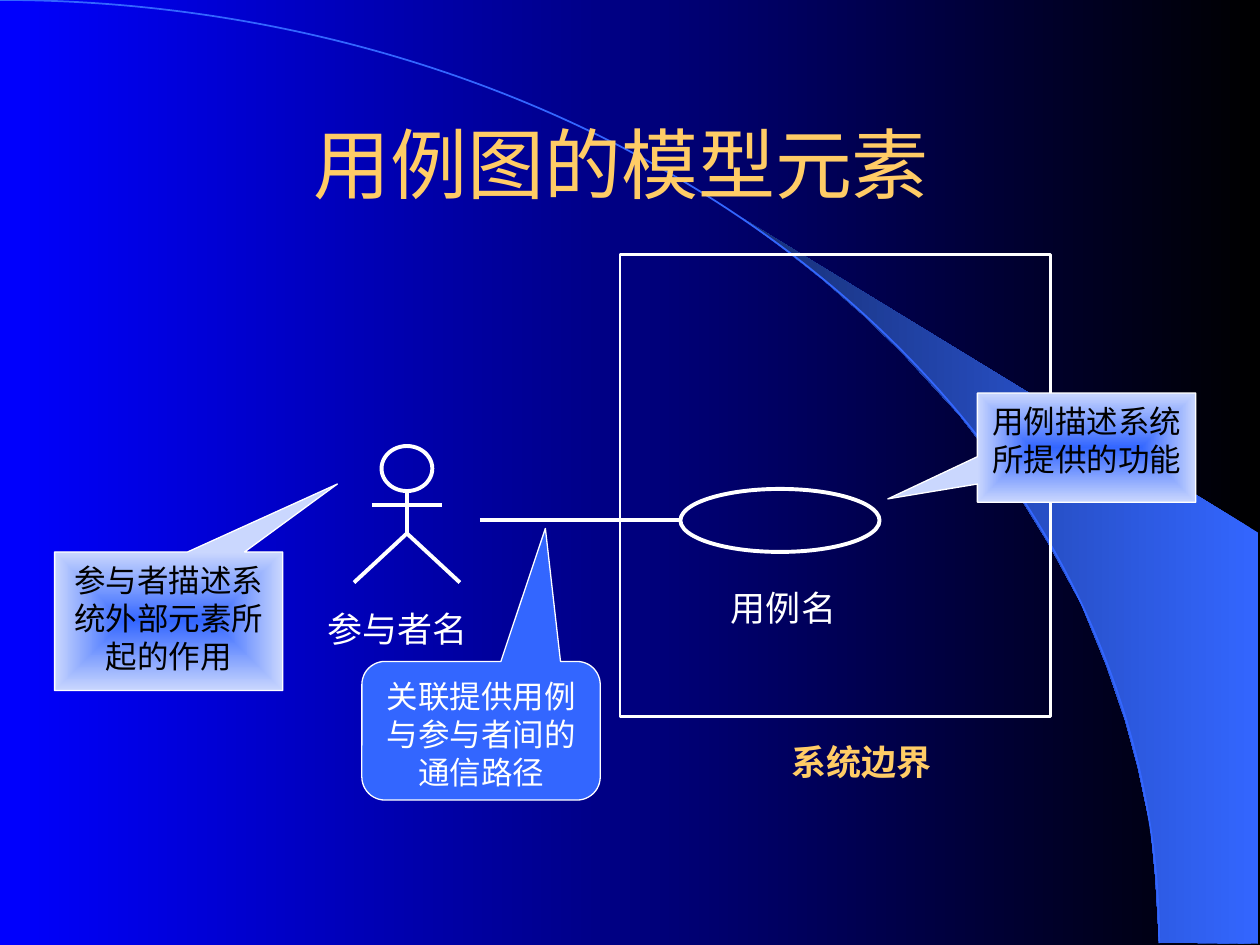
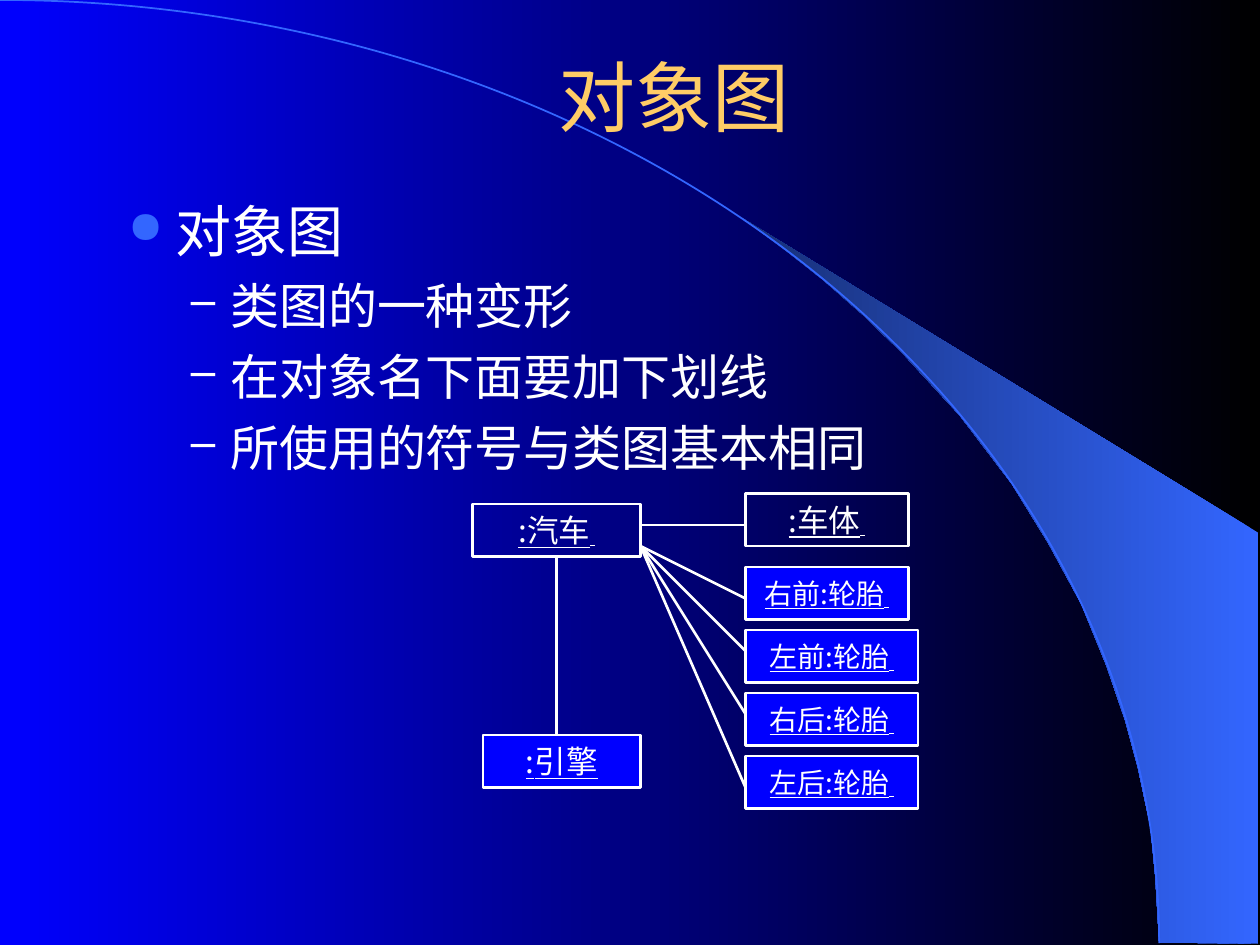
from lxml import etree
from pptx import Presentation
from pptx.dml.color import RGBColor
from pptx.enum.shapes import MSO_CONNECTOR, MSO_SHAPE as SHAPE
from pptx.enum.text import MSO_ANCHOR as ANCHOR, PP_ALIGN as ALIGN
from pptx.oxml.ns import qn
from pptx.util import Pt

BLACK, WHITE, GOLD = "000000", "FFFFFF", "FFCC66"
BLUE, DEEP_BLUE, NAVY, PALE = "3366FF", "0000FF", "172F75", "CAD7FE"
CJK = "Noto Sans CJK SC"
INSET = 3.6
SWOOSH_CURVE = [
    (424.1, 124.6), (449.3, 143.3), (470.2, 159.8), (493.2, 180),
    (515.5, 201.6), (548.6, 237.6), (578.2, 276.5), (599, 310.3),
    (617.8, 344.9), (632.2, 380.2), (643, 411.8), (650.2, 438.5),
    (657.4, 472.3), (660.2, 501.1), (662.4, 538.6),
]
SWOOSH_EDGE = [(719.3, 539.3), (719.3, 304.6)]


def rgb(value):
    return RGBColor.from_string(value)


def points(*values):
    return [Pt(value) for value in values]


def fill_gradient(fill, first, last):
    """Run from first on the right to last on the left."""
    fill.gradient()
    fill.gradient_angle = 180
    for stop, color, position in zip(fill.gradient_stops, (first, last), (0, 1)):
        stop.color.rgb = rgb(color)
        stop.position = position


def center_gradient(shape):
    """Turn a linear gradient into one that spreads from the middle."""
    gradient = shape._element.spPr.find(qn("a:gradFill"))
    gradient.remove(gradient.find(qn("a:lin")))
    spread = etree.SubElement(gradient, qn("a:path"))
    spread.set("path", "rect")
    middle = etree.SubElement(spread, qn("a:fillToRect"))
    for side in "ltrb":
        middle.set(side, "50000")


def style_run(run, size, color, font=CJK, bold=False, underline=False):
    run.font.size = Pt(size)
    run.font.name = font
    run.font.bold = bold
    run.font.underline = underline
    run.font.color.rgb = rgb(color)
    east_asian = etree.Element(qn("a:ea"))
    east_asian.set("typeface", CJK)
    run.font._element.find(qn("a:latin")).addnext(east_asian)


def write_text(shape, text, size, color, font=CJK, bold=False,
               align=ALIGN.CENTER, anchor=ANCHOR.TOP):
    frame = shape.text_frame
    frame.word_wrap = True
    frame.vertical_anchor = anchor
    frame.text = text
    for paragraph in frame.paragraphs:
        paragraph.alignment = align
        style_run(paragraph.runs[0], size, color, font, bold)
        if anchor == ANCHOR.TOP:
            paragraph.line_spacing = Pt(1.2 * size)
    if anchor == ANCHOR.TOP:
        frame.margin_top = Pt(INSET + 0.09 * size)
    return frame


def add_shape(slide, kind, box, fill=None, line=WHITE, width=1.5):
    shape = slide.shapes.add_shape(kind, *points(*box))
    shape.shadow.inherit = False
    if fill:
        shape.fill.solid()
        shape.fill.fore_color.rgb = rgb(fill)
    else:
        shape.fill.background()
    shape.line.color.rgb = rgb(line)
    shape.line.width = Pt(width)
    return shape


def add_line(slide, start, end, width=1.5):
    line = slide.shapes.add_connector(MSO_CONNECTOR.STRAIGHT, *points(*start, *end))
    line.line.color.rgb = rgb(WHITE)
    line.line.width = Pt(width)
    etree.SubElement(line._element.spPr, qn("a:effectLst"))


def add_label(slide, box, text, size=20, color=WHITE, **style):
    label = slide.shapes.add_textbox(*points(*box))
    return write_text(label, text, size, color, **style)


def add_backdrop(slide):
    start, *rest = SWOOSH_CURVE + SWOOSH_EDGE
    builder = slide.shapes.build_freeform(*points(*start), scale=1.0)
    builder.add_line_segments([points(*point) for point in rest], close=True)
    swoosh = builder.convert_to_shape()
    swoosh.shadow.inherit = False
    fill_gradient(swoosh.fill, BLUE, NAVY)
    swoosh.line.fill.background()
    add_shape(slide, SHAPE.ARC, (-662.4, 0, 1324.8, 1077.8), line=BLUE, width=1)


def add_base_slide(presentation, title, title_box):
    slide = presentation.slides.add_slide(presentation.slide_layouts[6])
    add_backdrop(slide)
    add_label(slide, title_box, title, 44, GOLD, anchor=ANCHOR.MIDDLE)
    return slide


def add_actor(slide, box):
    left, top, width, height = box

    def at(x, y):
        return left + x * width, top + y * height

    add_shape(slide, SHAPE.OVAL, (*at(0.26, 0), 0.48 * width, 0.33 * height), width=2.25)
    neck, hip = at(0.5, 0.34), at(0.5, 0.64)
    limbs = [(at(0.17, 0.43), at(0.83, 0.43)), (neck, hip),
             (hip, at(0, 1)), (hip, at(1, 1))]
    for start, end in limbs:
        add_line(slide, start, end, 2.25)


def add_callout(slide, kind, box, tip, text, fill, color):
    """Tip is the pointer's offset from the centre, in widths and heights."""
    callout = add_shape(slide, kind, box, fill, width=0.75)
    callout.adjustments[0], callout.adjustments[1] = tip
    write_text(callout, text, 18, color, font="Arial")
    return callout


def add_glowing_callout(slide, box, tip, text):
    callout = add_callout(slide, SHAPE.RECTANGULAR_CALLOUT, box, tip, text, None, BLACK)
    fill_gradient(callout.fill, BLUE, PALE)
    center_gradient(callout)


def add_use_case_diagram(slide):
    add_actor(slide, (202.3, 254.9, 60.5, 78))
    add_shape(slide, SHAPE.OVAL, (388.8, 279.4, 113.8, 36), width=2.25)
    add_line(slide, (274.3, 297.2), (388.8, 297.2), 2.25)
    add_label(slide, (180, 342, 108, 31.7), "参与者名", align=ALIGN.LEFT)
    add_label(slide, (372, 330, 156, 31.7), "用例名 ")
    add_shape(slide, SHAPE.RECTANGLE, (354.3, 145.3, 246.2, 264))
    add_label(slide, (422.6, 417.6, 144, 31.7), "系统边界 ", color=GOLD, bold=True)
    add_glowing_callout(slide, (31.2, 315.4, 130.3, 79.2), (0.74, -0.99),
                        "参与者描述系统外部元素所起的作用")
    add_glowing_callout(slide, (558.5, 224.6, 124.8, 62.4), (-0.91, 0.47),
                        "用例描述系统所提供的功能")
    add_callout(slide, SHAPE.ROUNDED_RECTANGULAR_CALLOUT, (206.8, 378, 136.2, 79.2),
                (0.27, -1.46), "关联提供用例与参与者间的通信路径", BLUE, WHITE)


def add_object_box(slide, box, name, size=18, fill=None, tail=True):
    """Tail adds a small underlined space after the name."""
    shape = add_shape(slide, SHAPE.RECTANGLE, box, fill)
    frame = shape.text_frame
    frame.word_wrap = False
    frame.vertical_anchor = ANCHOR.MIDDLE
    paragraph = frame.paragraphs[0]
    paragraph.alignment = ALIGN.CENTER
    for text, text_size in [(name, size), (" ", 12)][:1 + tail]:
        run = paragraph.add_run()
        run.text = text
        style_run(run, text_size, WHITE, underline=True)


def add_object_diagram(slide):
    box_height, right_column = 30, 426
    add_object_box(slide, (270, 288, 96, box_height), ":汽车")
    add_object_box(slide, (right_column, 282, 93, box_height), ":车体")
    add_object_box(slide, (276, 420, 90, box_height), ":引擎", fill=DEEP_BLUE, tail=False)
    add_line(slide, (366, 300), (right_column, 300))
    add_line(slide, (318, 318), (318, 420))
    wheels = [("右前", 93, 342), ("左前", 98.6, 372), ("右后", 98.6, 408), ("左后", 98.6, 450)]
    for index, (place, width, line_end) in enumerate(wheels):
        box = (right_column, 324 + 36 * index, width, box_height)
        add_object_box(slide, box, f"{place}:轮胎", 16, DEEP_BLUE)
        add_line(slide, (366, 312), (right_column, line_end))


def set_bullet(paragraph, indent, hanging, symbol, color, percent):
    properties = paragraph._p.get_or_add_pPr()
    properties.set("marL", str(Pt(indent)))
    properties.set("indent", str(-Pt(hanging)))
    bullet_color = etree.SubElement(properties, qn("a:buClr"))
    etree.SubElement(bullet_color, qn("a:srgbClr")).set("val", color)
    etree.SubElement(properties, qn("a:buSzPct")).set("val", str(percent * 1000))
    etree.SubElement(properties, qn("a:buChar")).set("char", symbol)


def add_bullets(slide, box, heading, items):
    frame = add_label(slide, box, "\n".join([heading, *items]), 28,
                      font="Times New Roman", align=ALIGN.LEFT)
    first, *others = frame.paragraphs
    first.runs[0].font.size = Pt(32)
    first.line_spacing = Pt(38.4)
    first.space_before = Pt(8)
    set_bullet(first, 27, 27, "●", BLUE, 80)
    for paragraph in others:
        paragraph.level = 1
        paragraph.space_before = Pt(7)
        set_bullet(paragraph, 58.5, 22.5, "–", WHITE, 90)


def main():
    presentation = Presentation()
    presentation.slide_width, presentation.slide_height = points(720, 540)
    fill_gradient(presentation.slide_master.background.fill, BLACK, DEEP_BLUE)

    slide = add_base_slide(presentation, "用例图的模型元素 ", (54, 48, 612, 90))
    add_use_case_diagram(slide)

    slide = add_base_slide(presentation, "对象图 ", (60, 26, 660, 58))
    add_object_diagram(slide)
    add_bullets(slide, (66, 106, 631, 374), "对象图",
                ["类图的一种变形", "在对象名下面要加下划线", "所使用的符号与类图基本相同"])
    presentation.save("out.pptx")


if __name__ == "__main__":
    main()
